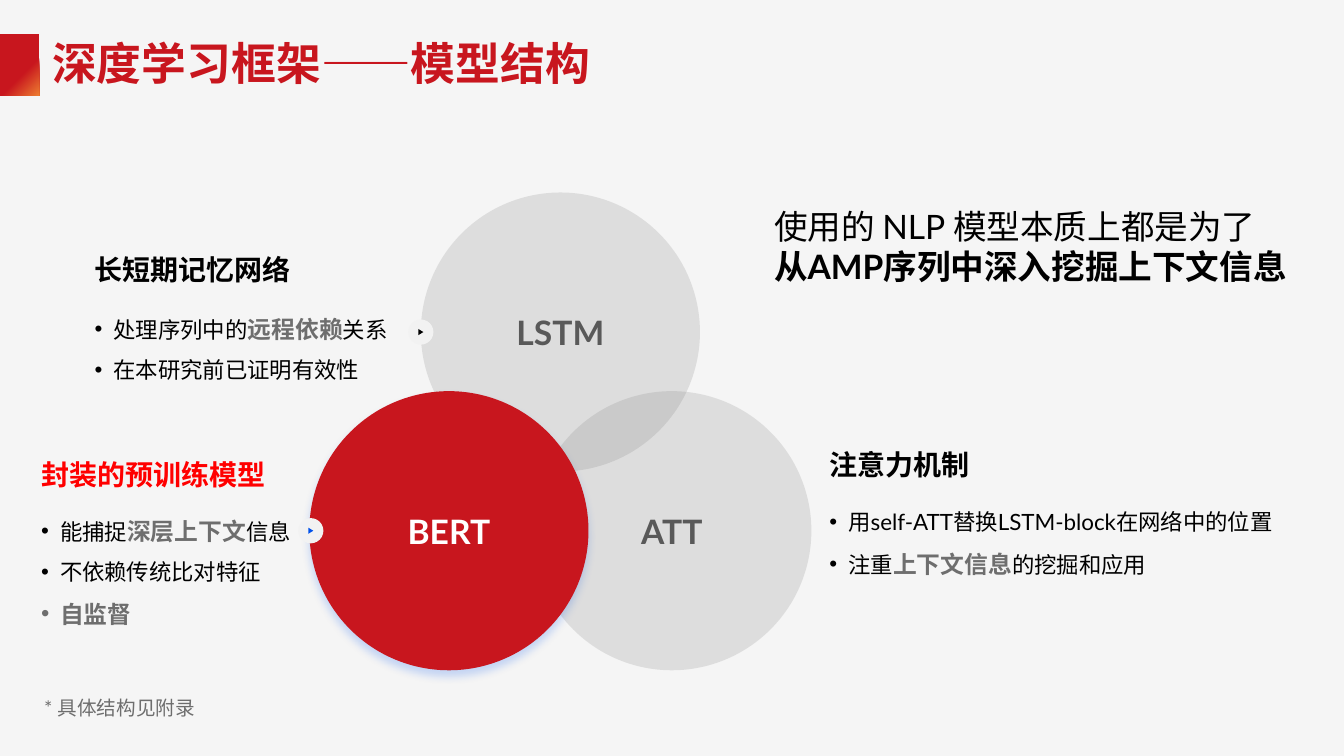
from lxml import etree
from pptx import Presentation
from pptx.dml.color import RGBColor
from pptx.enum.shapes import MSO_SHAPE
from pptx.enum.text import MSO_ANCHOR, PP_ALIGN
from pptx.oxml.ns import qn
from pptx.util import Pt

OVAL, RECT = MSO_SHAPE.OVAL, MSO_SHAPE.RECTANGLE
TRIANGLE = MSO_SHAPE.ISOSCELES_TRIANGLE
MIDDLE, CENTER = MSO_ANCHOR.MIDDLE, PP_ALIGN.CENTER

COLORS = {
    "background": "F5F5F5", "brand": "C8161E", "orange": "ED7D31",
    "circle": "808080", "label": "595959", "white": "FFFFFF",
    "badge": "F2F2F2", "blue": "0051EB", "black": "000000",
    "red": "FF0000", "muted": "6E6E6E",
}


def rgb(name):
    return RGBColor.from_string(COLORS[name])


def style(font, size, color="black", bold=False, face="Lato"):
    font.size, font.bold, font.name = Pt(size), bold, face
    font.color.rgb = rgb(color)


def add_alpha(color_element, percent):
    etree.SubElement(color_element, qn("a:alpha"), val=str(percent * 1000))


def add_plain_shape(slide, kind, left, top, width, height, color):
    shape = slide.shapes.add_shape(kind, Pt(left), Pt(top), Pt(width), Pt(height))
    shape.shadow.inherit = False
    shape.line.fill.background()
    shape.fill.solid()
    shape.fill.fore_color.rgb = rgb(color)
    return shape


def add_text(slide, left, top, width, height, lines, size, color="black", bolds=(False,)):
    box = slide.shapes.add_textbox(Pt(left), Pt(top), Pt(width), Pt(height))
    frame = box.text_frame
    frame.word_wrap = True
    frame.text = "\n".join(lines)
    for paragraph, bold in zip(frame.paragraphs, bolds):
        style(paragraph.runs[0].font, size, color, bold)
    return frame


def add_header(slide, left, top, width, height):
    marker = add_plain_shape(slide, RECT, left, top, 28, height, "brand")
    marker.fill.gradient()
    marker.fill.gradient_angle = 315
    for stop, color, position in zip(marker.fill.gradient_stops, ("brand", "orange"), (0.62, 1)):
        stop.color.rgb = rgb(color)
        stop.position = position
    title = add_text(slide, left + 30.2, top - 3.6, width, 51.8,
                     ["深度学习框架——模型结构"], 32, "brand", (True,))
    title.vertical_anchor = MIDDLE
    title.paragraphs[0].line_spacing = 0.9


def add_circle(slide, center_x, center_y, diameter, label, highlighted=False):
    circle = add_plain_shape(slide, OVAL, center_x - diameter / 2, center_y - diameter / 2,
                             diameter, diameter, "brand" if highlighted else "circle")
    properties = circle.fill._xPr
    if highlighted:
        shadow = etree.SubElement(properties.find(qn("a:effectLst")), qn("a:outerShdw"),
                                  blurRad=str(Pt(6)), dist=str(Pt(4)), dir="5400000",
                                  algn="t", rotWithShape="0")
        add_alpha(etree.SubElement(shadow, qn("a:srgbClr"), val=COLORS["blue"]), 20)
    else:
        add_alpha(properties.find(qn("a:solidFill"))[0], 20)
    frame = circle.text_frame
    frame.word_wrap = False
    frame.vertical_anchor = MIDDLE
    frame.text = label
    frame.paragraphs[0].alignment = CENTER
    style(frame.paragraphs[0].runs[0].font, 24, "white" if highlighted else "label", True)


def add_badge(slide, center_x, center_y, color):
    add_plain_shape(slide, OVAL, center_x - 9, center_y - 9, 18, 18, "badge")
    arrow = add_plain_shape(slide, TRIANGLE, center_x - 2.2, center_y - 1.8, 4.4, 3.6, color)
    arrow.rotation = 90


def add_venn(slide, left, top, diameter):
    radius, shift, drop = diameter / 2, 79.6, 141.9
    center_x, upper_y = left + shift + radius, top + radius
    lower_y = upper_y + drop
    add_circle(slide, center_x, upper_y, diameter, "LSTM")
    add_circle(slide, center_x + shift, lower_y, diameter, "ATT")
    add_circle(slide, center_x - shift, lower_y, diameter, "BERT", highlighted=True)
    # Arrow badges on the left edges
    add_badge(slide, left + 1, lower_y, "blue")
    add_badge(slide, left + shift, upper_y, "black")


def add_model_note(slide, left, top, width, heading, gap, height, points,
                   color="black", face="Arial"):
    """Heading above bullets; text between asterisks is emphasised."""
    add_text(slide, left, top, width, gap, [heading], 20, color, (True,))
    body = slide.shapes.add_textbox(Pt(left), Pt(top + gap), Pt(width), Pt(height))
    frame = body.text_frame
    frame.word_wrap = True
    for index, point in enumerate(points):
        paragraph = frame.paragraphs[0] if index == 0 else frame.add_paragraph()
        paragraph.line_spacing = 1.5
        properties = paragraph._p.get_or_add_pPr()
        properties.set("marL", str(Pt(13.5)))
        properties.set("indent", str(Pt(-13.5)))
        etree.SubElement(properties, qn("a:buFont"), typeface="Arial")
        etree.SubElement(properties, qn("a:buChar"), char="•")
        for part, words in enumerate(point.split("*")):
            if not words:
                continue
            run = paragraph.add_run()
            run.text = words
            if part % 2:
                style(run.font, 17, "muted", True)
            else:
                style(run.font, 16, face=face)


def build_model_slide(prs):
    slide = prs.slides.add_slide(prs.slide_layouts[6])
    slide.background.fill.solid()
    slide.background.fill.fore_color.rgb = rgb("background")

    add_header(slide, 0, 24.5, 704, 44)
    add_venn(slide, 221, 137.5, 199.4)

    # Notes on the three models
    add_model_note(slide, 22.3, 323.3, 213.8, "封装的预训练模型", 31.7, 123.8,
                   ["能捕捉*深层上下文*信息", "不依赖传统比对特征", "*自监督*"], color="red")
    add_model_note(slide, 585.4, 316.1, 352, "注意力机制", 33.8, 63.4,
                   ["用self-ATT替换LSTM-block在网络中的位置", "注重*上下文信息*的挖掘和应用"],
                   face="Lato")
    add_model_note(slide, 60.5, 177.1, 239, "长短期记忆网络", 33.8, 64,
                   ["处理序列中的*远程依赖*关系", "在本研究前已证明有效性"])

    # Shared purpose and footnote
    add_text(slide, 545.8, 143.3, 414.2, 65.5,
             ["使用的 NLP 模型本质上都是为了", "从AMP序列中深入挖掘上下文信息"],
             24, bolds=(False, True))
    add_text(slide, 24.5, 493.2, 311.8, 24.5, ["* 具体结构见附录"], 14, "muted")


def main():
    prs = Presentation()
    prs.slide_width, prs.slide_height = Pt(960), Pt(540)
    build_model_slide(prs)
    prs.save("out.pptx")


if __name__ == "__main__":
    main()
